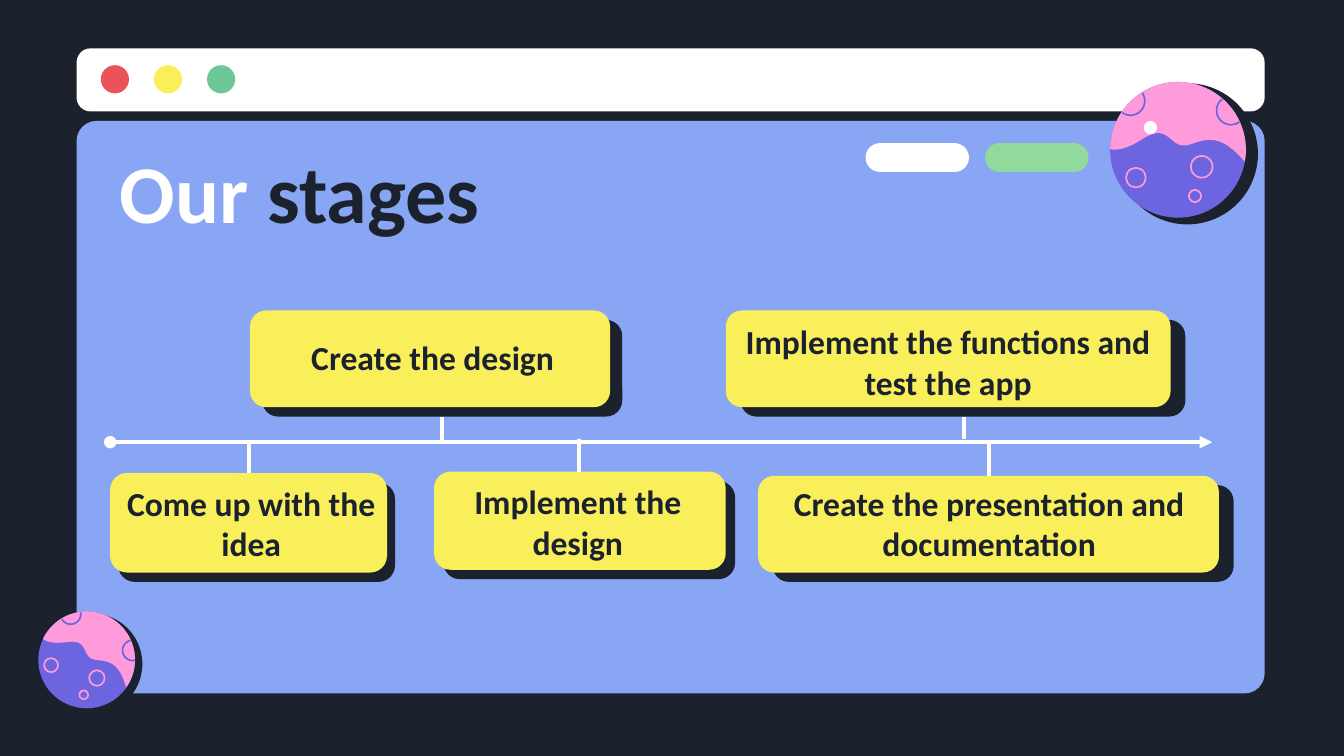
import math
import pptx
import pptx.dml.color
import pptx.enum.shapes
import pptx.enum.text
import pptx.oxml
import pptx.oxml.ns
import pptx.util
from pptx.util import Inches

HEX = {"dark": "1B222D", "blue": "88A6F3", "white": "FFFFFF", "red": "EB5358",
       "yellow": "F8EF5B", "teal": "6DC797", "green": "92D99C",
       "purple": "6D65E0", "pink": "FF9BDA"}
RGB = {name: pptx.dml.color.RGBColor.from_string(code) for name, code in HEX.items()}
KIND = pptx.enum.shapes.MSO_SHAPE
ALIGN = pptx.enum.text.PP_ALIGN

deck = pptx.Presentation()
deck.slide_width, deck.slide_height = Inches(10), Inches(45 / 8)
slide = deck.slides.add_slide(deck.slide_layouts[5])
slide.background.fill.solid()
slide.background.fill.fore_color.rgb = RGB["dark"]
shapes = slide.shapes


def draw(kind, box, fill=None, line=None, round=None):
    """Add a flat shape: a preset in box (inches), or a freeform through box's points."""
    if kind:
        shape = shapes.add_shape(kind, *map(Inches, box))
    else:
        dots = [(Inches(x), Inches(y)) for x, y in box]
        path = shapes.build_freeform(*dots[0])
        path.add_line_segments(dots[1:], close=bool(fill))
        shape = path.convert_to_shape()
    shape.shadow.inherit = False
    if round is not None:
        shape.adjustments[0] = round
    if fill:
        shape.fill.solid()
        shape.fill.fore_color.rgb = RGB[fill]
    else:
        shape.fill.background()
    if line:
        shape.line.color.rgb = RGB[line]
        shape.line.width = pptx.util.Pt(0.9)
    else:
        shape.line.fill.background()


def write(frame, text, size=18, color="dark", align=ALIGN.CENTER):
    """Add a bold run to the first paragraph of a middle-anchored frame."""
    frame.word_wrap = True
    frame.auto_size = pptx.enum.text.MSO_AUTO_SIZE.NONE
    frame.vertical_anchor = pptx.enum.text.MSO_ANCHOR.MIDDLE
    frame.margin_left = frame.margin_right = Inches(0.1)
    frame.margin_top = frame.margin_bottom = Inches(0.1)
    para = frame.paragraphs[0]
    para.alignment = align
    run = para.add_run()
    run.text = text
    run.font.name, run.font.size, run.font.bold = "Calibri", pptx.util.Pt(size), True
    run.font.color.rgb = RGB[color]


# Browser window
draw(KIND.ROUNDED_RECTANGLE, (0.57, 0.9, 8.84, 4.26), "blue", round=0.035)
draw(KIND.ROUNDED_RECTANGLE, (0.57, 0.36, 8.84, 0.47), "white", round=0.223)
for i, color in enumerate(("red", "yellow", "teal")):
    draw(KIND.OVAL, (0.75 + 0.395 * i, 0.485, 0.21, 0.21), color)
for left, color in ((6.44, "white"), (7.33, "green")):
    draw(KIND.ROUNDED_RECTANGLE, (left, 1.065, 0.77, 0.215), color, round=0.5)

# Planets: geometry for a radius of 1, then turned, scaled and moved
waves = [((0.98, 0.17), (0.7, -0.15), (0.52, -0.21), (0.21, -0.09)),
         ((0.21, -0.09), (-0.15, 0.05), (-0.09, -0.45), (-0.54, -0.15)),
         ((-0.54, -0.15), (-0.76, -0.01), (-0.9, 0.01), (-1, -0.01))]
cap = []
for curve in waves:
    for step in range(16):
        t = step / 16
        mix = ((1 - t) ** 3, 3 * t * (1 - t) ** 2, 3 * t * t * (1 - t), t ** 3)
        cap.append([sum(m * p[axis] for m, p in zip(mix, curve)) for axis in (0, 1)])
for deg in range(181, 370, 3):
    cap.append((math.cos(math.radians(deg)), math.sin(math.radians(deg))))

rims = []
for x, y in ((-0.7, -0.72), (0.78, -0.58)):
    start = math.atan2(y, x)
    ring = [(x + 0.21 * math.cos(start + math.radians(deg)),
             y + 0.21 * math.sin(start + math.radians(deg))) for deg in range(0, 360, 5)]
    rims.append([dot for dot in ring if math.hypot(*dot) < 1])
craters = [(-0.62, 0.41, 0.145), (0.35, 0.25, 0.16), (0.25, 0.68, 0.09)]

for mid, top, rad, turn, shift in ((8.765, 1.115, 0.505, 0, 0.07),
                                   (0.645, 4.91, 0.36, 25, 0.04)):
    cos, sin = math.cos(math.radians(turn)), math.sin(math.radians(turn))
    big = rad * 1.04
    draw(KIND.OVAL, (mid + shift - big, top + 0.03 - big, 2 * big, 2 * big), "dark")
    draw(KIND.OVAL, (mid - rad, top - rad, 2 * rad, 2 * rad), "purple")
    for part, fill, line in ((cap, "pink", None), (rims[0], None, "purple"),
                             (rims[1], None, "purple")):
        draw(None, [(mid + rad * (x * cos - y * sin), top + rad * (x * sin + y * cos))
                    for x, y in part], fill, line)
    for x, y, size in craters:
        left = mid + rad * (x * cos - y * sin - size)
        high = top + rad * (x * sin + y * cos - size)
        draw(KIND.OVAL, (left, high, 2 * rad * size, 2 * rad * size), line="pink")
draw(KIND.OVAL, (8.51, 0.9, 0.1, 0.1), "white")

# Title, brought in front of the window
title = shapes.title
title.left, title.top = Inches(0.79), Inches(1.11)
title.width, title.height = Inches(8.43), Inches(0.62)
write(title.text_frame, "Our ", size=44, color="white", align=ALIGN.LEFT)
write(title.text_frame, "stages", size=44, align=ALIGN.LEFT)
shapes.element.append(title.element)

# Stages: card, shadow offset, text area, wording
stages = [
    ((0.82, 3.52, 2.06, 0.74), 0.06, (0.74, 3.58, 2.26, 0.62), "Come up with the idea"),
    ((1.86, 2.31, 2.68, 0.72), 0.09, (1.9, 2.29, 2.64, 0.73), "Create the design"),
    ((3.23, 3.51, 2.17, 0.73), 0.07, (3.07, 3.59, 2.46, 0.58), "Implement the design"),
    ((5.4, 2.31, 3.31, 0.72), 0.11, (5.34, 2.4, 3.43, 0.58),
     "Implement the functions and test the app"),
    ((5.64, 3.54, 3.43, 0.72), 0.11, (5.64, 3.6, 3.44, 0.58),
     "Create the presentation and documentation"),
]
for card, shift, area, text in stages:
    left, top, wide, high = card
    draw(KIND.ROUNDED_RECTANGLE, (left + shift, top + 0.07, wide, high), "dark", round=0.167)
    draw(KIND.ROUNDED_RECTANGLE, card, "yellow", round=0.167)
    write(shapes.add_textbox(*map(Inches, area)).text_frame, text)

# Time line first, then its ticks
lines = [(0.82, 3.29, 9.02, 3.29), (1.85, 3.52, 1.85, 3.29), (3.29, 3.1, 3.29, 3.3),
         (4.31, 3.51, 4.31, 3.27), (7.17, 3.1, 7.17, 3.27), (7.36, 3.54, 7.36, 3.28)]
space = pptx.oxml.ns.nsdecls("a")
for i, ends in enumerate(lines):
    link = shapes.add_connector(pptx.enum.shapes.MSO_CONNECTOR.STRAIGHT, *map(Inches, ends))
    link.line.color.rgb = RGB["white"]
    link.line.width = pptx.util.Pt(2.25)
    props = link.element.spPr
    if i == 0:
        stroke = props.find(pptx.oxml.ns.qn("a:ln"))
        for tag, tip in (("headEnd", "oval"), ("tailEnd", "triangle")):
            stroke.append(pptx.oxml.parse_xml(f'<a:{tag} {space} type="{tip}"/>'))
    props.append(pptx.oxml.parse_xml(f"<a:effectLst {space}/>"))

deck.save("out.pptx")
